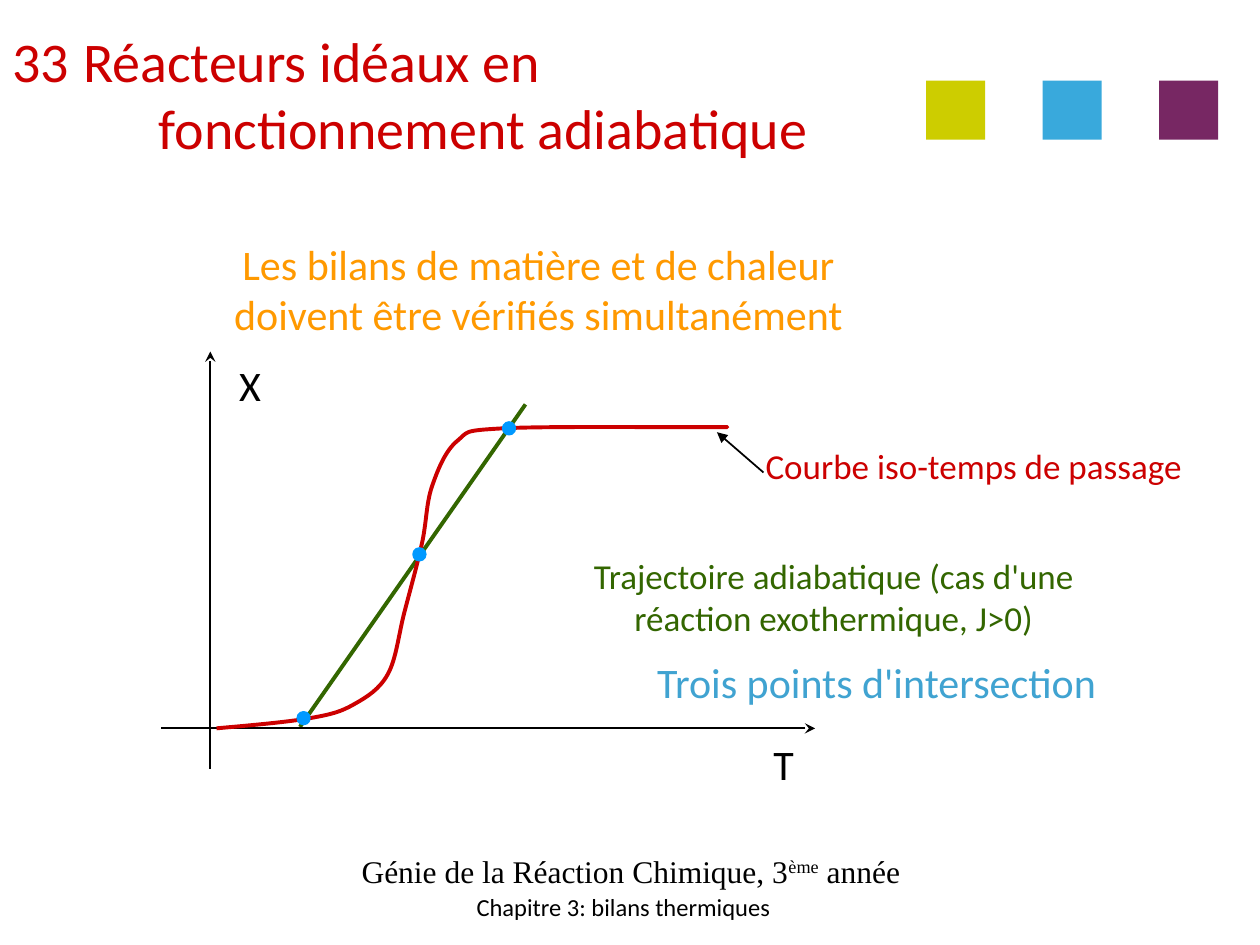
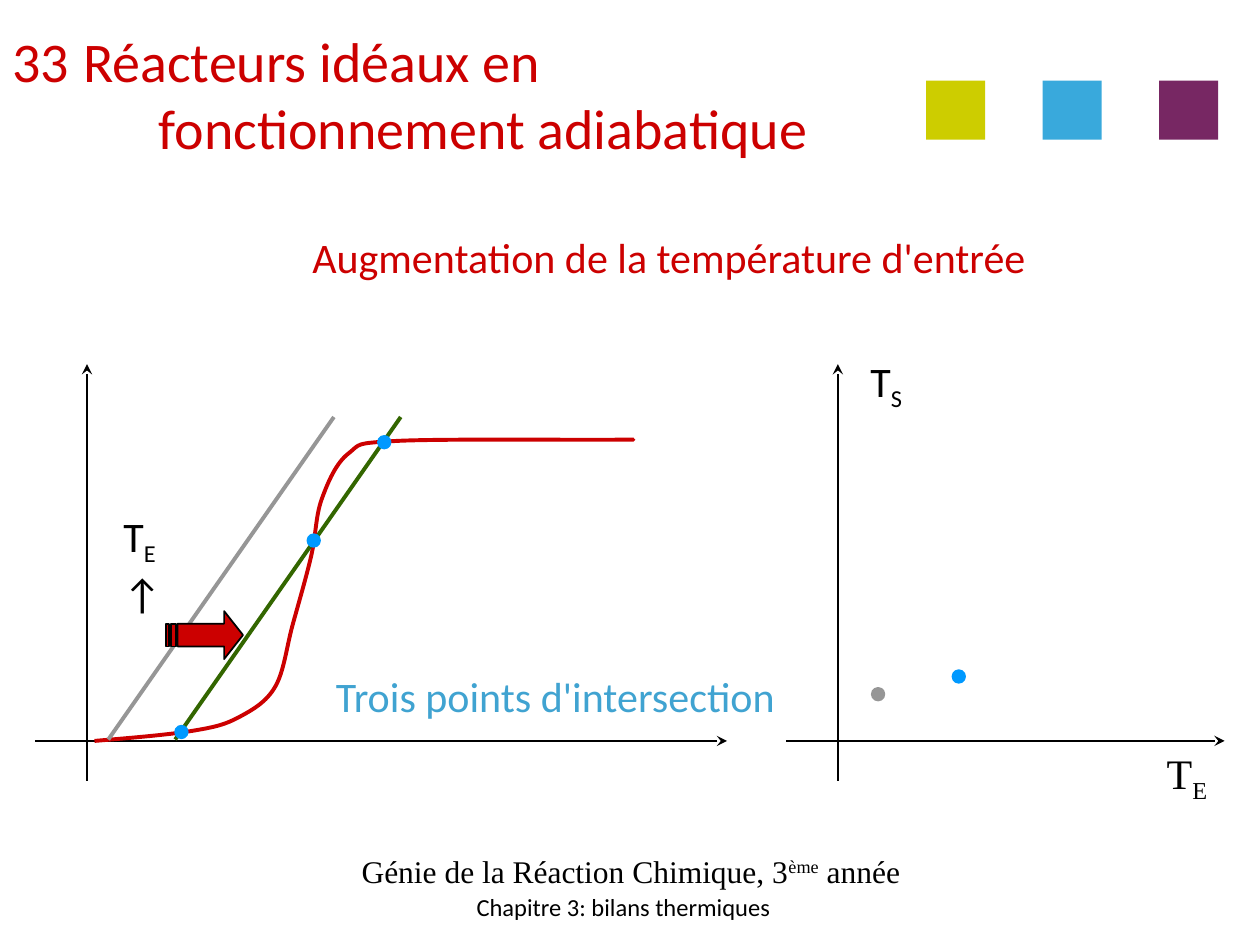
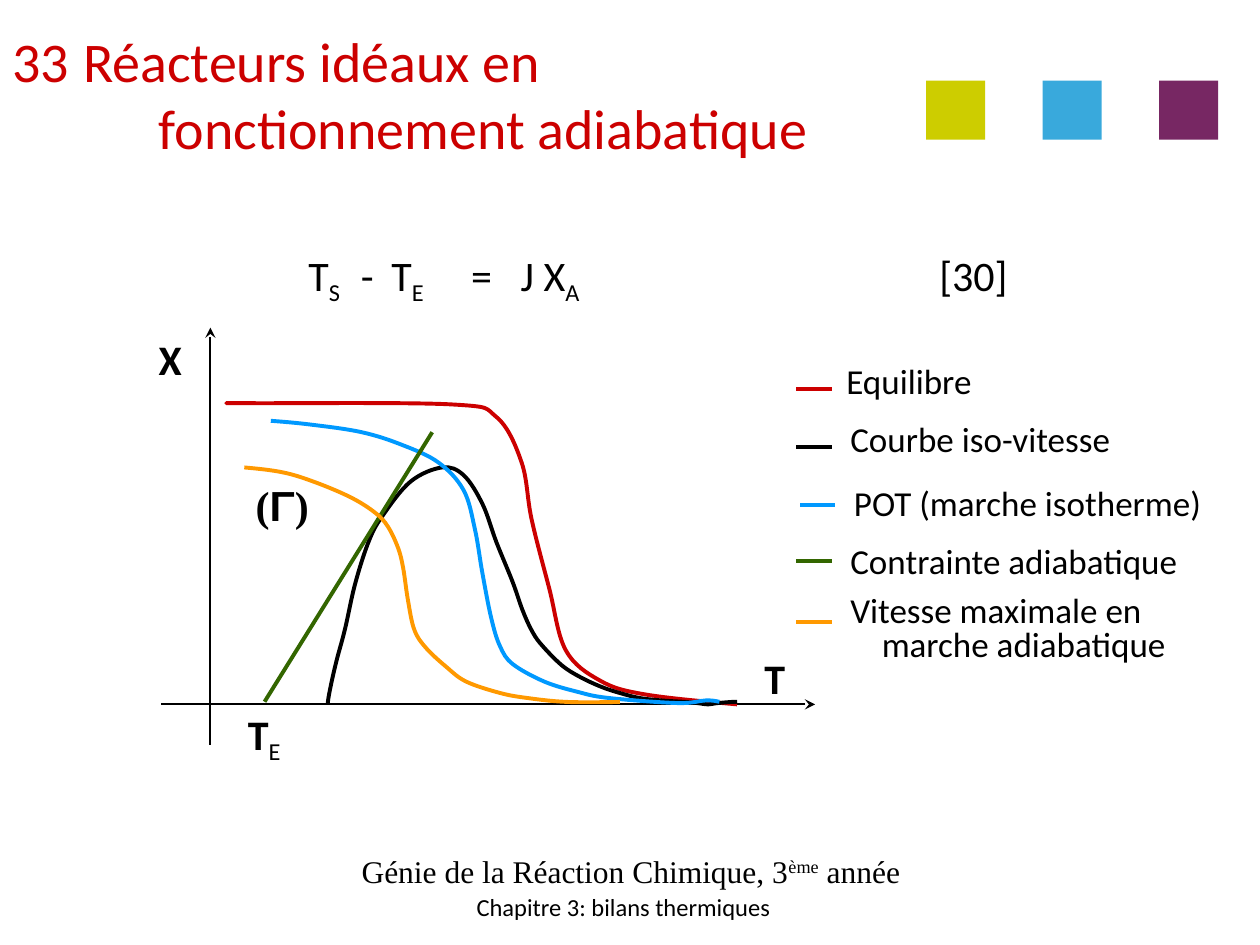
from lxml import etree
from pptx import Presentation
from pptx.dml.color import RGBColor
from pptx.enum.shapes import MSO_CONNECTOR, MSO_SHAPE
from pptx.enum.text import MSO_ANCHOR, MSO_AUTO_SIZE, PP_ALIGN
from pptx.oxml.ns import qn
from pptx.util import Pt

STRAIGHT = MSO_CONNECTOR.STRAIGHT
RECTANGLE, OVAL = MSO_SHAPE.RECTANGLE, MSO_SHAPE.OVAL
LEFT, CENTER = PP_ALIGN.LEFT, PP_ALIGN.CENTER
TOP, MIDDLE = MSO_ANCHOR.TOP, MSO_ANCHOR.MIDDLE
TITLE_ONLY = 5
SUB, SUPER = -25000, 30000
BODY_FONT, SERIF_FONT, GREEK_FONT = "Calibri", "Times New Roman", "Arial"

COLORS = {
    "black": "000000", "red": "CC0000", "green": "336600", "orange": "FF9900",
    "blue": "0099FF", "sky": "40A3D1", "gray": "969696",
    "lime_square": "CDCD00", "blue_square": "39A9DC", "purple_square": "772763",
}

# Curve knots, in points from the curve's start or from the origin of the axes
S_CURVE = [(0, 0), (53.3, -5.8), (78.5, -13.7), (97.9, -31), (107.3, -66.2),
           (117.4, -105.8), (123.1, -138.2), (137.5, -164.2), (163.4, -171.4),
           (276.5, -172.1), (288, -172.1)]
ISO_RATE = [(67, 0), (68.4, -8.6), (72, -24.5), (77, -43.2), (82.8, -69.1),
            (90.7, -93.6), (98.6, -108), (114.5, -127.4), (132.5, -135.4),
            (144.7, -131), (155.5, -114.5), (163.4, -92.9), (172.8, -69.8),
            (178.6, -53.3), (184.3, -41), (190.1, -33.1), (200.9, -22.3),
            (211, -15.8), (223.2, -10.1), (234, -6.5), (245.5, -3.6),
            (258.5, -2.2), (271.4, -1.4), (278.6, -0.7), (284.4, 0),
            (289.4, -0.7), (298.1, -1.4), (301, -1.4)]
ISOTHERMAL = [(34.6, -162), (57.6, -159.8), (86.4, -155.5), (109.4, -148.3),
              (130.3, -138.2), (144.7, -122.4), (151.2, -100.1), (155.5, -74.9),
              (160.6, -49), (165.6, -33.1), (172.8, -23), (190.8, -13),
              (209.5, -7.2), (227.5, -3.6), (267.1, -0.7), (283, -2.2),
              (290.9, -1.4)]
MAXIMUM_RATE = [(19.4, -135.4), (41.8, -132.5), (60.5, -126.7), (80.6, -118.1),
                (94.3, -109.4), (101.5, -101.5), (107.3, -89.3), (110.2, -77.8),
                (113, -59), (116.6, -42.5), (123.1, -32.4), (134.6, -21.6),
                (146.2, -13), (165.6, -6.5), (181.4, -3.6), (203.8, -1.4),
                (234, -1.4)]


def rgb(name):
    return RGBColor.from_string(COLORS[name])


# Text
def add_tabs(paragraph, stops):
    tab_list = etree.SubElement(paragraph._p.get_or_add_pPr(), qn("a:tabLst"))
    for stop in stops:
        etree.SubElement(tab_list, qn("a:tab"), pos=str(Pt(stop)), algn="l")


def style(paragraph, size, color, font=BODY_FONT, bold=False):
    paragraph.font.size = Pt(size)
    paragraph.font.name = font
    paragraph.font.bold = bold
    paragraph.font.color.rgb = rgb(color)


def add_runs(paragraph, runs):
    """Each run is a string or (text, baseline[, font])."""
    for item in [runs] if isinstance(runs, str) else runs:
        text, baseline, *font = (item, 0) if isinstance(item, str) else item
        run = paragraph.add_run()
        run.text = text
        if baseline:
            run.font.bold = False
            run._r.get_or_add_rPr().set("baseline", str(baseline))
        if font:
            run.font.name = font[0]


def add_text(slide, left, top, width, height, lines, size=24, color="black",
             align=LEFT, font=BODY_FONT, bold=False, spacing=None, wrap=False,
             anchor=TOP, tabs=(), hanging=0):
    box = slide.shapes.add_textbox(Pt(left), Pt(top), Pt(width), Pt(height))
    frame = box.text_frame
    frame.word_wrap = wrap
    frame.auto_size = MSO_AUTO_SIZE.SHAPE_TO_FIT_TEXT
    frame.vertical_anchor = anchor
    for index, runs in enumerate(lines):
        paragraph = frame.add_paragraph() if index else frame.paragraphs[0]
        paragraph.alignment = align
        if spacing:
            paragraph.line_spacing = spacing
        if index and hanging:
            paragraph._p.get_or_add_pPr().set("marL", str(Pt(hanging)))
        if tabs:
            add_tabs(paragraph, tabs)
        add_runs(paragraph, runs)
        style(paragraph, size, color, font, bold)
    return box


# Lines, curves and marks
def add_line(slide, start, end, color="black", width=2.25, head=None, tail=None):
    line = slide.shapes.add_connector(STRAIGHT, *(Pt(v) for v in (*start, *end)))
    line.line.color.rgb = rgb(color)
    line.line.width = Pt(width)
    properties = line.element.spPr
    outline = properties.find(qn("a:ln"))
    for tag, kind in (("a:headEnd", head), ("a:tailEnd", tail)):
        if kind:
            etree.SubElement(outline, qn(tag), type=kind)
    etree.SubElement(properties, qn("a:effectLst"))


def add_curve(slide, x, y, knots, color, x_scale=1):
    """Draw a smooth line whose tangent at a knot is parallel to its neighbours' chord."""
    points = [(Pt(x + dx * x_scale), Pt(y + dy)) for dx, dy in knots]
    builder = slide.shapes.build_freeform(*points[0])
    builder.add_line_segments(points[1:], close=False)
    curve = builder.convert_to_shape()
    curve.shadow.inherit = False
    curve.fill.background()
    curve.line.color.rgb = rgb(color)
    curve.line.width = Pt(2.25)

    outline = next(curve.element.iter(qn("a:path")))
    local = [(int(p.get("x")), int(p.get("y"))) for p in outline.iter(qn("a:pt"))]
    last = len(local) - 1

    def handle(index, direction):
        return [p + direction * (after - before) / 6 for p, before, after
                in zip(local[index], local[index - 1], local[index + 1])]

    def midpoint(a, b):
        return [(p + q) / 2 for p, q in zip(a, b)]

    for index, segment in enumerate(outline.findall(qn("a:lnTo"))):
        first = handle(index, 1) if index else None
        second = handle(index + 1, -1) if index + 1 < last else None
        first = first or midpoint(local[0], second)
        second = second or midpoint(local[last], first)
        bezier = etree.Element(qn("a:cubicBezTo"))
        for px, py in (first, second, local[index + 1]):
            etree.SubElement(bezier, qn("a:pt"), x=str(round(px)), y=str(round(py)))
        outline.replace(segment, bezier)


def add_dots(slide, x, y, centers, color="blue", size=7.2):
    for dx, dy in centers:
        dot = slide.shapes.add_shape(OVAL, Pt(x + dx - size / 2), Pt(y + dy - size / 2),
                                     Pt(size), Pt(size))
        dot.shadow.inherit = False
        dot.fill.solid()
        dot.fill.fore_color.rgb = rgb(color)
        dot.line.color.rgb = rgb(color)
        dot.line.width = Pt(1)


def add_axes(slide, x, y, before, after):
    """Axes that cross at (x, y)."""
    add_line(slide, (x, y - 215.3), (x, y + 23), width=1, head="stealth")
    add_line(slide, (x + after, y), (x - before, y), width=1, head="stealth")


def add_adiabatic_line(slide, x, y, color="green"):
    add_line(slide, (x, y), (x + 128.9, y - 184.3), color)


def add_striped_arrow(slide, x, y):
    shaft_top, shaft_bottom, height = 7.2, 20.2, 27.4
    body = [(33.1, 0), (33.1, shaft_top), (6.5, shaft_top), (6.5, shaft_bottom),
            (33.1, shaft_bottom), (33.1, height), (43.9, height / 2)]
    stripes = [[(left, shaft_top), (left, shaft_bottom),
                (right, shaft_bottom), (right, shaft_top)]
               for left, right in ((2.9, 5.8), (0, 1.4))]
    builder = None
    for outline in [body, *stripes]:
        points = [(Pt(x + dx), Pt(y + dy)) for dx, dy in outline]
        if builder is None:
            builder = slide.shapes.build_freeform(*points[0])
        else:
            builder.move_to(*points[0])
        builder.add_line_segments(points[1:], close=True)
    arrow = builder.convert_to_shape()
    arrow.shadow.inherit = False
    arrow.fill.solid()
    arrow.fill.fore_color.rgb = rgb("red")
    arrow.line.color.rgb = rgb("black")
    arrow.line.width = Pt(1)


# Parts shared by all slides
def add_frame(slide, layout):
    """Build the squares and the footers, then hand them to the layout."""
    parts = []
    for index, color in enumerate(("lime_square", "blue_square", "purple_square")):
        square = slide.shapes.add_shape(RECTANGLE, Pt(529.2 + index * 66.6), Pt(46.1),
                                        Pt(33.8), Pt(33.8))
        square.shadow.inherit = False
        square.fill.solid()
        square.fill.fore_color.rgb = rgb(color)
        square.line.fill.background()
        parts.append(square)
    parts.append(add_text(slide, 195.5, 479.5, 330, 36,
                          [["Génie de la Réaction Chimique, 3", ("ème", SUPER), " année"]],
                          18, align=CENTER, font=SERIF_FONT, anchor=MIDDLE))
    parts.append(add_text(slide, 256.3, 500.4, 200, 36, ["Chapitre 3: bilans thermiques"],
                          14, align=CENTER, anchor=MIDDLE))
    for part in parts:
        layout.shapes.element.append(part.element)


def add_title(slide):
    title = slide.shapes.title
    title.left, title.top, title.width, title.height = Pt(0), Pt(8.6), Pt(614.2), Pt(90)
    frame = title.text_frame
    frame.auto_size = MSO_AUTO_SIZE.NONE
    frame.word_wrap = True
    frame.vertical_anchor = MIDDLE
    first, second = frame.paragraphs[0], frame.add_paragraph()
    properties = first._p.get_or_add_pPr()
    properties.set("marL", str(Pt(40.3)))
    properties.set("indent", str(Pt(-40.3)))
    bullet_color = etree.SubElement(properties, qn("a:buClr"))
    etree.SubElement(bullet_color, qn("a:srgbClr"), val=COLORS["red"])
    etree.SubElement(properties, qn("a:buFont"), typeface=BODY_FONT)
    etree.SubElement(properties, qn("a:buAutoNum"), type="arabicPlain", startAt="33")
    lines = ("Réacteurs idéaux en", "\tfonctionnement adiabatique")
    for paragraph, text in zip((first, second), lines):
        paragraph.alignment = LEFT
        add_tabs(paragraph, [83.5])
        add_runs(paragraph, text)
        style(paragraph, 32, "red")


def add_intersection_label(slide, left, top):
    add_text(slide, left, top, 272.9, 36.7, ["Trois points d'intersection"],
             color="sky", align=CENTER)


# Slides
def fill_balance_slide(slide, x=120.2, y=416.2):
    add_text(slide, 122, 132.5, 371.5, 65.5,
             ["Les bilans de matière et de chaleur", "doivent être vérifiés simultanément"],
             color="orange", align=CENTER)
    # Graph
    add_adiabatic_line(slide, x + 51.2, y - 0.8)
    add_axes(slide, x, y, 28.1, 345.6)
    add_curve(slide, x + 3.6, y, S_CURVE, "red")
    add_dots(slide, x, y, [(170.7, -171.4), (53.3, -5.8), (119.5, -99.4)])
    add_text(slide, x + 9.4, y - 214.6, 27.4, 36.7, ["X"])
    add_text(slide, x + 314.7, y + 2.1, 26.6, 36.7, ["T"])
    # Annotations
    add_text(slide, x + 306.6, y - 165.6, 259.2, 31.7, ["Courbe iso-temps de passage"],
             20, "red", CENTER)
    add_line(slide, (x + 316.1, y - 146.2), (x + 289.5, y - 169.2), width=1,
             tail="triangle")
    add_text(slide, x + 208.3, y - 103, 295.9, 55.4,
             ["Trajectoire adiabatique (cas d'une", "réaction exothermique, J>0)"],
             20, "green", CENTER)
    add_intersection_label(slide, x + 244.3, y - 44.7)


def add_shifted_graph(slide, x, y):
    add_axes(slide, x, y, 29.5, 365.8)
    add_curve(slide, x + 4.3, y, S_CURVE, "red", x_scale=1.055)
    add_adiabatic_line(slide, x + 12.2, y - 0.8, "gray")
    add_adiabatic_line(slide, x + 50.4, y - 0.8)
    add_intersection_label(slide, x + 131.2, y - 44)
    add_dots(slide, x, y, [(169.9, -170.7), (54, -5.1), (129.6, -114.5)])
    add_striped_arrow(slide, x + 45.3, y - 74.2)
    add_text(slide, x + 13.7, y - 135.4, 54.7, 36.7, [["T", ("E ", SUB), "↑"]], wrap=True)


def add_outlet_graph(slide, x, y):
    add_axes(slide, x, y, 29.5, 221)
    add_text(slide, x + 10.8, y - 224, 33.8, 36.7, [["T", ("S", SUB)]], align=CENTER)
    add_text(slide, x + 180, y, 38.9, 36, [["T", ("E", SUB)]], align=CENTER,
             font=SERIF_FONT)
    add_dots(slide, x, y, [(23, -26.7)], "gray")
    add_dots(slide, x, y, [(69.1, -36.8)])


def fill_inlet_slide(slide):
    add_text(slide, 171.4, 128.9, 426.2, 36, ["Augmentation de la température d'entrée"],
             color="red")
    add_shifted_graph(slide, 49.7, 423.4)
    add_outlet_graph(slide, 478.8, 423.4)


def add_legend(slide, left, top):
    # Label, colour, key offset, label top, label left, label width
    rows = [("Equilibre", "red", (0, 26.6), 0, 21.6, 91.4),
            ("Courbe iso-vitesse", "black", (0, 59.8), 33.1, 23.8, 169.2),
            ("POT (marche isotherme)", "blue", (2.2, 92.9), 69.8, 25.9, 219.6),
            ("Contrainte adiabatique", "green", (0, 124.6), 103, 23.8, 208.1)]
    for label, color, (key_x, key_y), label_top, label_left, width in rows:
        add_key(slide, left + key_x, top + key_y, color)
        add_text(slide, left + label_left, top + label_top, width, 35.3, [label], 20,
                 spacing=1.25)
    add_key(slide, left, top + 159.8, "orange")
    add_text(slide, left + 23.8, top + 141.8, 201.6, 46.8,
             ["Vitesse maximale en", "marche adiabatique"], 20, spacing=0.8, hanging=18)


def add_key(slide, x, y, color):
    add_line(slide, (x, y), (x + 20.2, y), color)


def fill_curves_slide(slide, x=120.2, y=402.5):
    add_text(slide, 169.2, 139, 414.7, 36,
             [["T", ("S", SUB), "\t-\tT", ("E", SUB), "\t=\tJ X", ("A", SUB), "\t[30]"]],
             wrap=True, tabs=[30, 47.4, 93, 121.3, 360.5])
    # Graph
    add_axes(slide, x, y, 28.1, 345.6)
    add_curve(slide, x + 301, y, S_CURVE, "red", x_scale=-1)
    add_curve(slide, x, y, ISO_RATE, "black")
    add_curve(slide, x, y, ISOTHERMAL, "blue")
    add_line(slide, (x + 31, y - 1.5), (x + 126.8, y - 155.5), "green")
    add_curve(slide, x, y, MAXIMUM_RATE, "orange")
    # Graph labels
    labels = [(-36.7, -222.5, 28.1, ["X"], BODY_FONT),
              (309.6, -40.3, 26.6, ["T"], BODY_FONT),
              (14.4, -9.4, 34.6, ["T", ("E", SUB)], BODY_FONT),
              (18.8, -139, 45.4, ["(", ("Γ", 0, GREEK_FONT), ")"], SERIF_FONT)]
    for dx, dy, width, runs, font in labels:
        add_text(slide, x + dx, y + dy, width, 41, [runs], font=font, bold=True,
                 spacing=1.25)
    add_legend(slide, 455, 195.8)


def main():
    presentation = Presentation()
    presentation.slide_width, presentation.slide_height = Pt(720), Pt(540)
    layout = presentation.slide_layouts[TITLE_ONLY]
    for index, fill in enumerate((fill_balance_slide, fill_inlet_slide, fill_curves_slide)):
        slide = presentation.slides.add_slide(layout)
        if index == 0:
            add_frame(slide, layout)
        add_title(slide)
        fill(slide)
    presentation.save("out.pptx")


if __name__ == "__main__":
    main()
